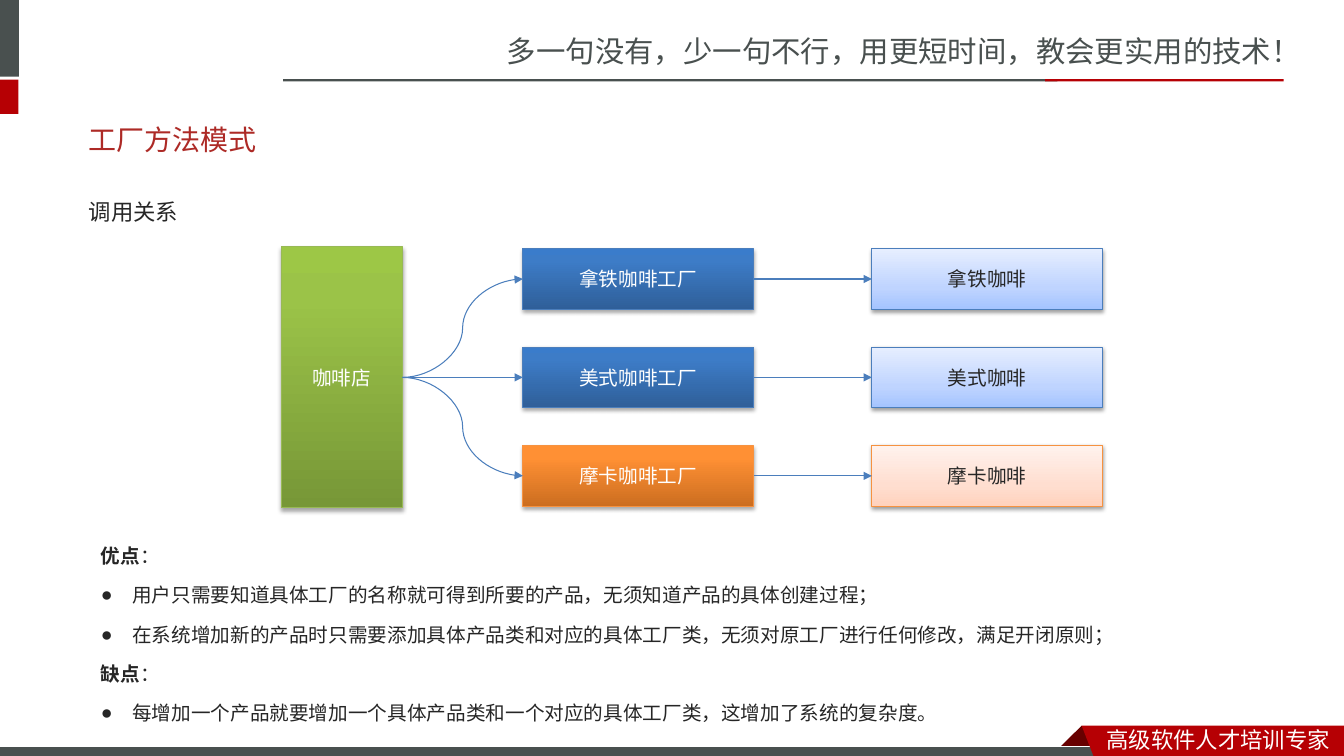
from lxml.etree import SubElement
from pptx import Presentation
from pptx.dml.color import RGBColor
from pptx.enum.shapes import MSO_CONNECTOR as Link, MSO_SHAPE as Preset
from pptx.enum.text import MSO_ANCHOR as Anchor, MSO_AUTO_SIZE as AutoSize, PP_ALIGN as Align
from pptx.oxml.ns import qn
from pptx.util import Pt

# Content
SLOGAN = "多一句没有，少一句不行，用更短时间，教会更实用的技术！"
TAGLINE = "高级软件人才培训专家"
TITLE = "工厂方法模式"
SUBTITLE = "调用关系"
SHOP = "咖啡店"
ROWS = [  # factory, product, factory style, product style
    ("拿铁咖啡工厂", "拿铁咖啡", "blue", "pale_blue"),
    ("美式咖啡工厂", "美式咖啡", "blue", "pale_blue"),
    ("摩卡咖啡工厂", "摩卡咖啡", "orange", "pale_orange"),
]
REVIEW = [
    ("优点", ["用户只需要知道具体工厂的名称就可得到所要的产品，无须知道产品的具体创建过程；",
            "在系统增加新的产品时只需要添加具体产品类和对应的具体工厂类，无须对原工厂进行任何修改，满足开闭原则；"]),
    ("缺点", ["每增加一个产品就要增加一个具体产品类和一个对应的具体工厂类，这增加了系统的复杂度。"]),
]

THEME = {
    "gray": "49504F", "red": "B60004", "fold": "680000", "title": "AD2A26",
    "ink": "262626", "white": "FFFFFF", "link": "4B7EBC", "shadow": "000000",
    "slogan_size": 21, "title_size": 20, "body_size": 16, "label_size": 14,
    "east_asian": "Noto Sans CJK SC", "text_font": "Noto Sans CJK JP",
    "title_font": "Roboto", "box_font": "Calibri",
}
STYLES = {  # gradient stops, outline, text colour, shadow (opacity, distance)
    "green": ([(0, "779737"), (80, "9BC348"), (100, "9DC746")], "98B955", "white", (35, 1.8)),
    "blue": ([(0, "2F5F99"), (80, "3D7CC7"), (100, "3A7CCB")], "4B7EBC", "white", (35, 1.8)),
    "orange": ([(0, "CC6E20"), (80, "FF9034"), (100, "FF9136")], "F69240", "white", (35, 1.8)),
    "pale_blue": ([(0, "A4C4FF"), (35, "BFD4FF"), (100, "E6EEFF")], "4B7EBC", "ink", (38, 1.6)),
    "pale_orange": ([(0, "FFD2BD"), (35, "FFDED0"), (100, "FFF2ED")], "F69240", "ink", (38, 1.6)),
}

# Layout, in points
SHOP_LEFT, SHOP_WIDTH, SHOP_HEIGHT = 201, 86.4, 186.5
FACTORY_LEFT, PRODUCT_LEFT = 373.5, 622.8
BOX_WIDTH, BOX_HEIGHT = 164.8, 43.2
ROW_TOP, ROW_PITCH = 177.7, 70.3
BULLET_INDENT = 22.5

deck = Presentation()
deck.slide_width, deck.slide_height = Pt(960), Pt(540)
slide = deck.slides.add_slide(deck.slide_layouts[3])
shapes = slide.shapes


def rgb(name):
    return RGBColor.from_string(THEME.get(name, name))


def points(*lengths):
    return [Pt(length) for length in lengths]


def write(paragraph, words, size, color, font, bold=None):
    run = paragraph.add_run()
    run.text = words
    run.font.size, run.font.bold, run.font.name = Pt(THEME[size]), bold, THEME[font]
    run.font.color.rgb = rgb(color)
    SubElement(run.font._element, qn("a:ea"), typeface=THEME["east_asian"])


def paint(part, color, outline=None):
    part.shadow.inherit = False
    part.fill.solid()
    part.fill.fore_color.rgb = rgb(color)
    if outline:
        part.line.color.rgb = rgb(outline)
        part.line.width = Pt(0.75)
    else:
        part.line.fill.background()


def bar(area, color, outline=None):
    paint(shapes.add_shape(Preset.RECTANGLE, *points(*area)), color, outline)


def ribbon(corners, color):
    start, *rest = [points(*corner) for corner in corners]
    builder = shapes.build_freeform(*start)
    builder.add_line_segments(rest, close=True)
    paint(builder.convert_to_shape(), color)


def caption(area, words, size, color):
    frame = shapes.add_textbox(*points(*area)).text_frame
    frame.word_wrap = True
    write(frame.paragraphs[0], words, size, color, "east_asian")


def place(holder, area):
    holder.left, holder.top, holder.width, holder.height = points(*area)
    holder.text_frame.auto_size = AutoSize.NONE
    return holder.text_frame


def body_line(paragraph, size, bulleted=False):
    paragraph.line_spacing = 1.5
    paragraph.space_before = Pt(0.2 * THEME[size])
    props = paragraph._p.get_or_add_pPr()
    indent = Pt(BULLET_INDENT) if bulleted else 0
    props.set("marL", str(indent))
    props.set("indent", str(-indent))
    if bulleted:
        SubElement(props, qn("a:buChar"), char="●")
    else:
        SubElement(props, qn("a:buNone"))


def box(area, words, style):
    stops, outline, ink, (opacity, distance) = STYLES[style]
    node = shapes.add_shape(Preset.RECTANGLE, *points(*area))
    # Gradient from bottom to top
    node.fill.gradient()
    node.fill.gradient_angle = 90
    stop_list = node._element.spPr.find(".//" + qn("a:gsLst"))
    stop_list.clear()
    for position, color in stops:
        stop = SubElement(stop_list, qn("a:gs"), pos=str(position * 1000))
        SubElement(stop, qn("a:srgbClr"), val=color)
    node.line.color.rgb = rgb(outline)
    node.line.width = Pt(0.75)
    # Soft shadow below
    node.shadow.inherit = False
    effects = node._element.spPr.find(qn("a:effectLst"))
    shade = SubElement(effects, qn("a:outerShdw"), blurRad=str(Pt(3.1)),
                       dist=str(Pt(distance)), dir="5400000", rotWithShape="0")
    tint = SubElement(shade, qn("a:srgbClr"), val=THEME["shadow"])
    SubElement(tint, qn("a:alpha"), val=str(opacity * 1000))
    frame = node.text_frame
    frame.vertical_anchor = Anchor.MIDDLE
    frame.paragraphs[0].alignment = Align.CENTER
    write(frame.paragraphs[0], words, "label_size", ink, "box_font")
    return node


def arrow(source, target, kind=Link.STRAIGHT):
    link = shapes.add_connector(kind, 0, 0, 0, 0)
    link.begin_connect(source, 3)
    link.end_connect(target, 1)
    link.line.color.rgb = rgb("link")
    link.line.width = Pt(0.75)
    SubElement(link.line._get_or_add_ln(), qn("a:tailEnd"), type="triangle")
    SubElement(link._element.spPr, qn("a:effectLst"))


# Header and footer
caption((355, 20.2, 605, 34), SLOGAN, "slogan_size", "gray")
bar((0, 0, 13.5, 54.7), "gray")
bar((0, 56.9, 13.2, 24.5), "red")
bar((202.3, 56.6, 553, 1.6), "gray")
bar((746.6, 56.6, 170.4, 1.6), "red")
ribbon([(772.6, 518.4), (788.4, 534.2), (787.7, 535), (757.4, 535), (756.7, 534.2)], "fold")
bar((-0.7, 533.5, 792, 8.6), "gray", "white")
ribbon([(772.6, 518.4), (960, 518.4), (960, 542.9), (781.9, 542.2)], "red")
caption((783.4, 514.8, 176.6, 26.6), TAGLINE, "body_size", "white")

# Title and subtitle
subtitle, review = slide.placeholders[1], slide.placeholders[2]
heading = place(shapes.title, (56.2, 79.2, 842.4, 41))
heading.vertical_anchor = Anchor.MIDDLE
heading.paragraphs[0].alignment = Align.LEFT
write(heading.paragraphs[0], TITLE, "title_size", "title", "title_font")
lead = place(subtitle, (56.2, 128.2, 152, 41)).paragraphs[0]
body_line(lead, "body_size")
write(lead, SUBTITLE, "body_size", "ink", "text_font")

# Call diagram
middle = ROW_TOP + ROW_PITCH + BOX_HEIGHT / 2
shop = box((SHOP_LEFT, middle - SHOP_HEIGHT / 2, SHOP_WIDTH, SHOP_HEIGHT), SHOP, "green")
for row, (factory_name, product_name, factory_style, product_style) in enumerate(ROWS):
    top = ROW_TOP + row * ROW_PITCH
    factory = box((FACTORY_LEFT, top, BOX_WIDTH, BOX_HEIGHT), factory_name, factory_style)
    product = box((PRODUCT_LEFT, top, BOX_WIDTH, BOX_HEIGHT), product_name, product_style)
    arrow(shop, factory, Link.STRAIGHT if row == 1 else Link.CURVE)
    arrow(factory, product)

# Advantages and drawbacks
review_frame = place(review, (64.8, 376.6, 795, 152.6))
paragraph = review_frame.paragraphs[0]
for label, remarks in REVIEW:
    if paragraph.runs:
        paragraph = review_frame.add_paragraph()
    body_line(paragraph, "label_size")
    write(paragraph, label, "label_size", "ink", "text_font", True)
    write(paragraph, "：", "label_size", "ink", "text_font", False)
    for remark in remarks:
        paragraph = review_frame.add_paragraph()
        body_line(paragraph, "label_size", bulleted=True)
        write(paragraph, remark, "label_size", "ink", "text_font")

deck.save("out.pptx")
